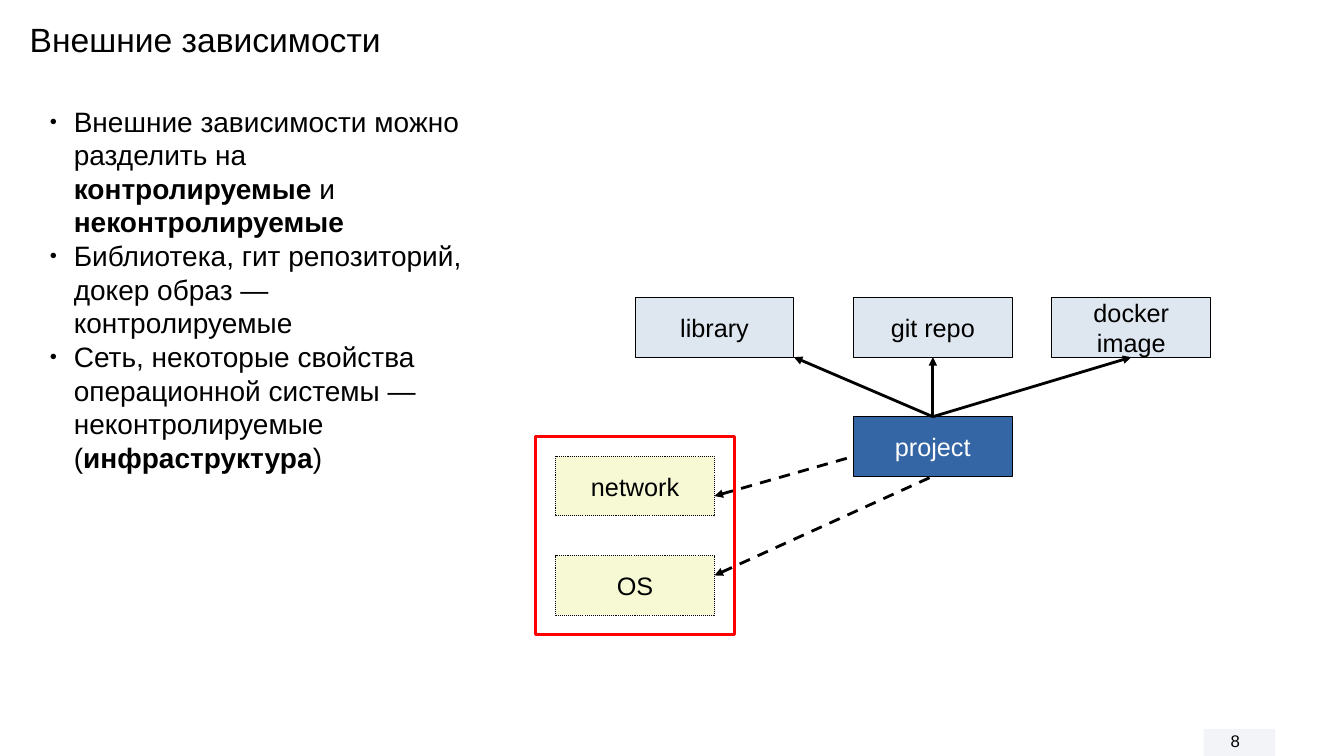
from lxml import etree
from pptx import Presentation
from pptx.dml.color import RGBColor
from pptx.enum.dml import MSO_LINE_DASH_STYLE as Dash
from pptx.enum.shapes import MSO_CONNECTOR as Connector, MSO_SHAPE as Shape
from pptx.enum.text import MSO_ANCHOR as Anchor, PP_ALIGN as Align
from pptx.oxml.ns import qn
from pptx.util import Cm, Inches, Pt

FONT = "Arial"
COLORS = {"black": "000000", "white": "FFFFFF", "red": "FF0000", "blue": "3465A4",
          "pale": "DEE6EF", "yellow": "F6F9D4", "plate": "E6EBF1"}

# All places are (column, row) on a grid of half centimetres.
TITLE = ("Внешние зависимости", (1, 0.7, 53, 2.4))
PAGE_NUMBER = ("8", (61.5, 36.6, 4.9, 1.5))
PLATE = (60.65, 36.73, 3.6, 1.37)
BULLETS_AREA = (2, 5, 22, 19.4)
BULLETS = [  # runs of (text, bold)
    [("Внешние зависимости можно разделить на ", False), ("контролируемые", True),
     (" и ", False), ("неконтролируемые", True)],
    [("Библиотека, гит репозиторий, докер образ — контролируемые", False)],
    [("Сеть, некоторые свойства операционной системы — неконтролируемые (", False),
     ("инфраструктура", True), (")", False)],
]
INFRASTRUCTURE = (27, 22, 10, 10)
BOX_SIZE = (8, 3)
BOXES = [  # label, place, fill, text colour, line dash
    ("project", (43, 21), "blue", "white", None),
    ("library", (32, 15), "pale", "black", None),
    ("docker image", (53, 15), "pale", "black", None),
    ("git repo", (43, 15), "pale", "black", None),
    ("network", (28, 23), "yellow", "black", Dash.ROUND_DOT),
    ("OS", (28, 28), "yellow", "black", Dash.ROUND_DOT),
]
ARROWS = [  # arrowhead at the dependency, end at the project, line dash
    ((40, 18), (47, 21), None),
    ((47, 18), (47, 21), None),
    ((57, 18), (47, 21), None),
    ((36, 29), (47, 24), Dash.DASH),
    ((36, 25), (43, 23), Dash.DASH),
]


def grid(values):
    return [Cm(value / 2) for value in values]


def color(name):
    return RGBColor.from_string(COLORS[name])


def style_run(run, size, name="black", bold=False):
    run.font.name, run.font.size, run.font.bold = FONT, Pt(size), bold
    run.font.color.rgb = color(name)


def style_line(line, name="black", width=0, dash=None):
    line.color.rgb = color(name)
    line.width = Pt(width)
    if dash:
        line.dash_style = dash


def add_rectangle(page, area, fill):
    box = page.shapes.add_shape(Shape.RECTANGLE, *grid(area))
    box.shadow.inherit = False
    box.fill.solid()
    box.fill.fore_color.rgb = color(fill)
    return box


def add_text(page, text, area, size, wrap=True):
    frame = page.shapes.add_textbox(*grid(area)).text_frame
    frame.word_wrap = wrap
    frame.text = text
    style_run(frame.paragraphs[0].runs[0], size)


def add_bullet(para):
    props = para._p.get_or_add_pPr()
    props.set("marL", str(Inches(0.24)))
    props.set("indent", str(-Inches(0.24)))
    bullet_color = etree.SubElement(props, qn("a:buClr"))
    etree.SubElement(bullet_color, qn("a:srgbClr"), val=COLORS["black"])
    etree.SubElement(props, qn("a:buSzPct"), val="45000")
    etree.SubElement(props, qn("a:buFont"), typeface=FONT)
    etree.SubElement(props, qn("a:buChar"), char="●")


def add_bullets(page):
    frame = page.shapes.add_textbox(*grid(BULLETS_AREA)).text_frame
    frame.word_wrap = True
    for index, spans in enumerate(BULLETS):
        para = frame.add_paragraph() if index else frame.paragraphs[0]
        add_bullet(para)
        for text, bold in spans:
            span = para.add_run()
            span.text = text
            style_run(span, 20, bold=bold)


def add_box(page, label, place, fill, text_color, dash):
    box = add_rectangle(page, place + BOX_SIZE, fill)
    style_line(box.line, dash=dash)
    frame = box.text_frame
    frame.word_wrap = True
    frame.vertical_anchor = Anchor.MIDDLE
    frame.text = label
    frame.paragraphs[0].alignment = Align.CENTER
    style_run(frame.paragraphs[0].runs[0], 18, text_color)


def add_arrow(page, tip, end, dash):
    arrow = page.shapes.add_connector(Connector.STRAIGHT, *grid(tip + end))
    style_line(arrow.line, dash=dash)
    etree.SubElement(arrow.line._get_or_add_ln(), qn("a:headEnd"), type="triangle")
    etree.SubElement(arrow._element.spPr, qn("a:effectLst"))


def main():
    deck = Presentation()
    deck.slide_width, deck.slide_height = Inches(13.33), Inches(7.5)
    page = deck.slides.add_slide(deck.slide_layouts[6])

    plate = add_rectangle(page, PLATE, "plate")
    plate.line.fill.background()
    plate_color = plate._element.spPr.find(".//" + qn("a:srgbClr"))
    etree.SubElement(plate_color, qn("a:alpha"), val="50000")
    frame = add_rectangle(page, INFRASTRUCTURE, "white")
    style_line(frame.line, "red", 2.3)

    add_text(page, *PAGE_NUMBER, 12, wrap=False)
    add_bullets(page)
    for box in BOXES:
        add_box(page, *box)
    for arrow in ARROWS:
        add_arrow(page, *arrow)
    add_text(page, *TITLE, 24)
    deck.save("out.pptx")


if __name__ == "__main__":
    main()
